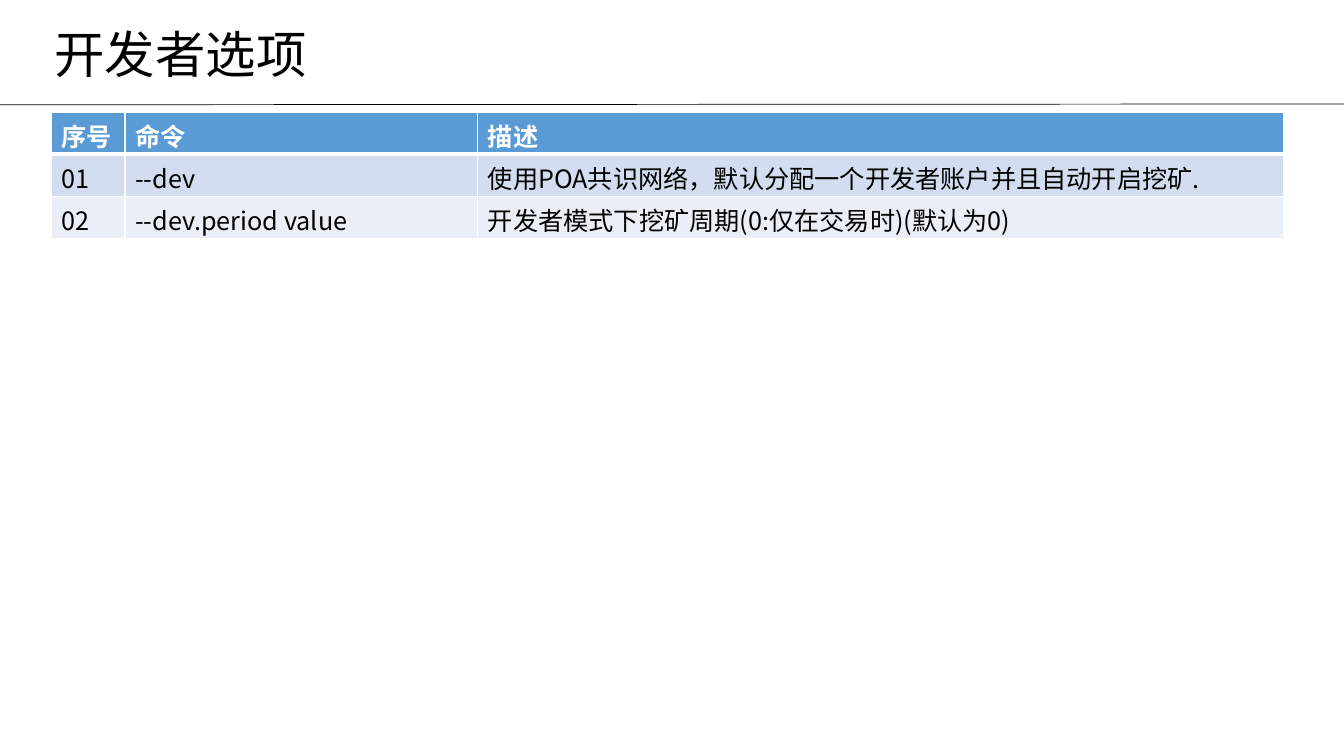
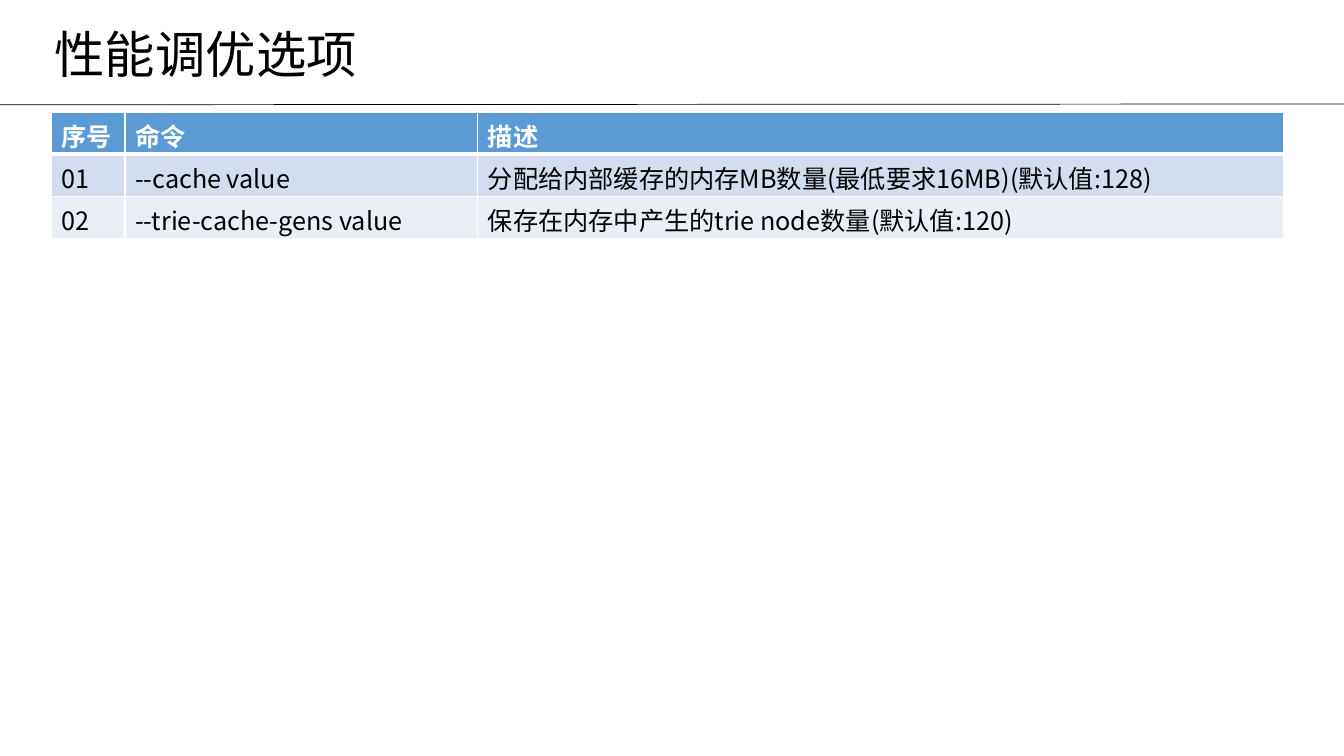
from dataclasses import dataclass

from lxml.etree import SubElement
from pptx import Presentation
from pptx.dml.color import RGBColor as RGB
from pptx.enum.shapes import MSO_CONNECTOR
from pptx.enum.text import MSO_ANCHOR, MSO_AUTO_SIZE, PP_ALIGN
from pptx.oxml.ns import qn
from pptx.util import Cm, Pt


@dataclass(frozen=True)
class Theme:
    font: str = "Noto Sans CJK SC"
    ink: RGB = RGB(0x00, 0x00, 0x00)
    white: RGB = RGB(0xFF, 0xFF, 0xFF)
    header: RGB = RGB(0x5B, 0x9B, 0xD5)
    bands: tuple = (RGB(0xD2, 0xDE, 0xEF), RGB(0xEA, 0xEF, 0xF7))
    title_size: Pt = Pt(36)
    cell_size: Pt = Pt(18)
    rule: Pt = Pt(0.5)
    border: Pt = Pt(1)
    header_border: Pt = Pt(3)


theme = Theme()

HEADINGS = ("序号", "命令", "描述")
COLUMN_WIDTHS = (Cm(1.85), Cm(8.89), Cm(20.32))
ROW_HEIGHT = Cm(1.06)
SLIDES = (
    ("开发者选项", (
        ("--dev", "使用POA共识网络，默认分配一个开发者账户并且自动开启挖矿."),
        ("--dev.period value", "开发者模式下挖矿周期(0:仅在交易时)(默认为0)"),
    )),
    ("性能调优选项", (
        ("--cache value", "分配给内部缓存的内存MB数量(最低要求16MB)(默认值:128)"),
        ("--trie-cache-gens value", "保存在内存中产生的trie node数量(默认值:120)"),
    )),
)


def style_text(tf, size, color, bold=False):
    for p in tf.paragraphs:
        p.alignment = PP_ALIGN.LEFT
        for r in p.runs:
            r.font.name = theme.font
            r.font.size = size
            r.font.bold = bold
            r.font.color.rgb = color
            SubElement(r.font._element, qn("a:ea"), typeface=theme.font)


def set_borders(cell, widths):
    tc_pr = cell._tc.get_or_add_tcPr()
    for side, width in zip("LRTB", widths):
        ln = SubElement(tc_pr, qn(f"a:ln{side}"), w=str(width))
        fill = SubElement(ln, qn("a:solidFill"))
        SubElement(fill, qn("a:srgbClr"), val=str(theme.white))


prs = Presentation()
prs.slide_width = Cm(33.87)
prs.slide_height = Cm(19.05)

for title, options in SLIDES:
    s = prs.slides.add_slide(prs.slide_layouts[5])

    rule = s.shapes.add_connector(
        MSO_CONNECTOR.STRAIGHT, 0, Cm(2.64), prs.slide_width, Cm(2.62))
    rule.line.color.rgb = theme.ink
    rule.line.width = theme.rule
    SubElement(rule._element.spPr, qn("a:effectLst"))

    sp = s.shapes.title
    sp.left, sp.top, sp.width, sp.height = Cm(1.12), Cm(0.64), Cm(15.49), Cm(1.78)
    tf = sp.text_frame
    tf.text = title
    tf.word_wrap = True
    tf.auto_size = MSO_AUTO_SIZE.NONE
    tf.vertical_anchor = MSO_ANCHOR.TOP
    tf.paragraphs[0].line_spacing = 0.9
    style_text(tf, theme.title_size, theme.ink)

    rows = [HEADINGS]
    rows += [(f"{n:02}", *option) for n, option in enumerate(options, 1)]
    table = s.shapes.add_table(
        len(rows), len(HEADINGS), Cm(1.3), Cm(2.82),
        sum(COLUMN_WIDTHS), ROW_HEIGHT * len(rows)).table
    for column, width in zip(table.columns, COLUMN_WIDTHS):
        column.width = width

    for i, row in enumerate(rows):
        is_header = i == 0
        top = theme.header_border if i == 1 else theme.border
        bottom = theme.header_border if is_header else theme.border
        for j, text in enumerate(row):
            cell = table.cell(i, j)
            set_borders(cell, (theme.border, theme.border, top, bottom))
            cell.fill.solid()
            cell.fill.fore_color.rgb = theme.header if is_header else theme.bands[(i - 1) % 2]
            cell.margin_bottom = Cm(0.02)
            cell.text_frame.text = text
            style_text(cell.text_frame, theme.cell_size,
                       theme.white if is_header else theme.ink, is_header)

prs.save("out.pptx")
